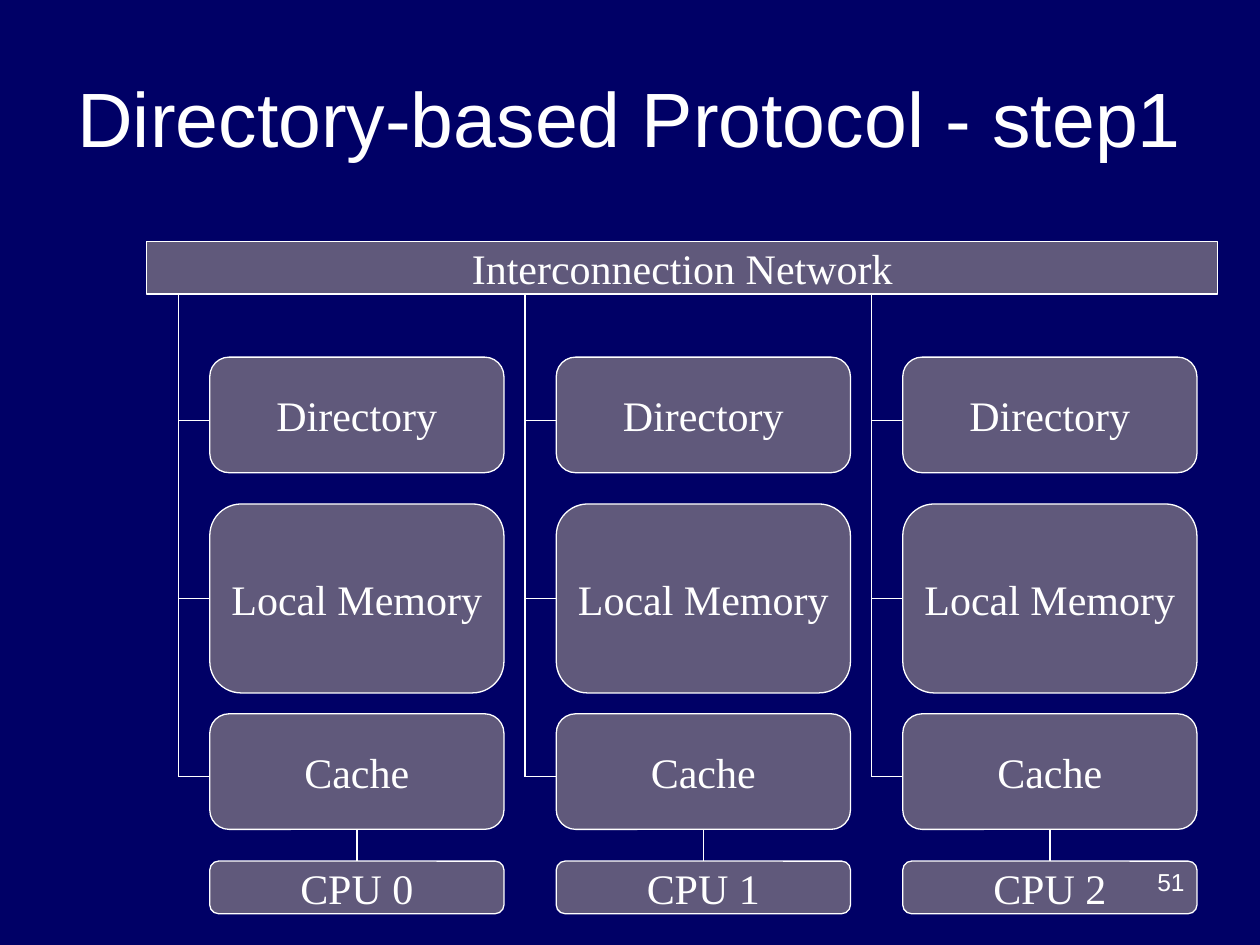
from lxml import etree
from pptx import Presentation
from pptx import util as u
from pptx.dml.color import RGBColor
from pptx.enum import shapes, text
from pptx.oxml.ns import qn

NAVY = RGBColor(0x00, 0x00, 0x66)
PURPLE = RGBColor(0x60, 0x59, 0x7B)
WHITE = RGBColor(0xFF, 0xFF, 0xFF)

LINE_WIDTH = u.Pt(0.75)
NODE_COUNT = 3
NODE_PITCH = 6.985
BOX_LEFT = 4.23
BOX_WIDTH = 5.93
STUB_LENGTH = 0.63
NETWORK_TOP = 4.87
NETWORK_HEIGHT = 1.06
DIRECTORY_PORT = 8.47
CACHE_PORT = 15.66


def set_text(shape, content, font_name, size, alignment, anchor):
    frame = shape.text_frame
    frame.text = content
    frame.vertical_anchor = anchor
    paragraph = frame.paragraphs[0]
    paragraph.alignment = alignment
    font = paragraph.runs[0].font
    font.name = font_name
    font.size = u.Pt(size)
    font.color.rgb = WHITE


def add_label(slide, content, left, top, width, height, size, alignment, anchor):
    label = slide.shapes.add_textbox(u.Cm(left), u.Cm(top), u.Cm(width), u.Cm(height))
    label.text_frame.word_wrap = True
    set_text(label, content, "Arial", size, alignment, anchor)


def add_box(slide, content, kind, left, top, width, height):
    box = slide.shapes.add_shape(kind, u.Cm(left), u.Cm(top), u.Cm(width), u.Cm(height))
    box.shadow.inherit = False
    box.fill.solid()
    box.fill.fore_color.rgb = PURPLE
    box.line.color.rgb = WHITE
    box.line.width = LINE_WIDTH
    box.text_frame.word_wrap = False
    set_text(box, content, "Times New Roman", 24, text.PP_ALIGN.CENTER, text.MSO_ANCHOR.MIDDLE)
    return box


def add_line(slide, start_x, start_y, end_x, end_y):
    line = slide.shapes.add_connector(
        shapes.MSO_CONNECTOR.STRAIGHT,
        u.Cm(start_x), u.Cm(start_y), u.Cm(end_x), u.Cm(end_y),
    )
    line.line.color.rgb = WHITE
    line.line.width = LINE_WIDTH
    etree.SubElement(line._element.spPr, qn("a:effectLst"))
    return line


def add_node(slide, index):
    left = BOX_LEFT + index * NODE_PITCH
    rail = left - STUB_LENGTH
    center = left + BOX_WIDTH / 2
    rows = [
        ("Directory", 7.2, 2.33),
        ("Local Memory", 10.16, 3.81),
        ("Cache", 14.39, 2.33),
        (f"CPU {index}", 17.36, 1.06),
    ]
    boxes = [
        add_box(slide, name, shapes.MSO_SHAPE.ROUNDED_RECTANGLE, left, top, BOX_WIDTH, height)
        for name, top, height in rows
    ]
    _, memory, cache, cpu = boxes

    add_line(slide, rail, NETWORK_TOP + NETWORK_HEIGHT, rail, CACHE_PORT)
    for port in (DIRECTORY_PORT, CACHE_PORT):
        add_line(slide, rail, port, left, port)
    memory_middle = rows[1][1] + rows[1][2] / 2
    memory_stub = add_line(slide, rail, memory_middle, left, memory_middle)
    memory_stub.end_connect(memory, 1)
    cpu_link = add_line(slide, center, rows[2][1] + rows[2][2], center, rows[3][1])
    cpu_link.begin_connect(cache, 2)
    cpu_link.end_connect(cpu, 0)


def main():
    presentation = Presentation()
    presentation.slide_width = u.Cm(25.4)
    presentation.slide_height = u.Cm(19.05)
    slide = presentation.slides.add_slide(presentation.slide_layouts[6])
    slide.background.fill.solid()
    slide.background.fill.fore_color.rgb = NAVY

    add_label(slide, "Directory-based Protocol - step1", 1.27, 0.76, 22.86, 3.18,
              44, text.PP_ALIGN.CENTER, text.MSO_ANCHOR.MIDDLE)
    add_box(slide, "Interconnection Network", shapes.MSO_SHAPE.RECTANGLE,
            2.96, NETWORK_TOP, 21.59, NETWORK_HEIGHT)
    for index in range(NODE_COUNT):
        add_node(slide, index)
    add_label(slide, "51", 18.2, 17.36, BOX_WIDTH, 1.32,
              14, text.PP_ALIGN.RIGHT, text.MSO_ANCHOR.TOP)

    presentation.save("out.pptx")


if __name__ == "__main__":
    main()
